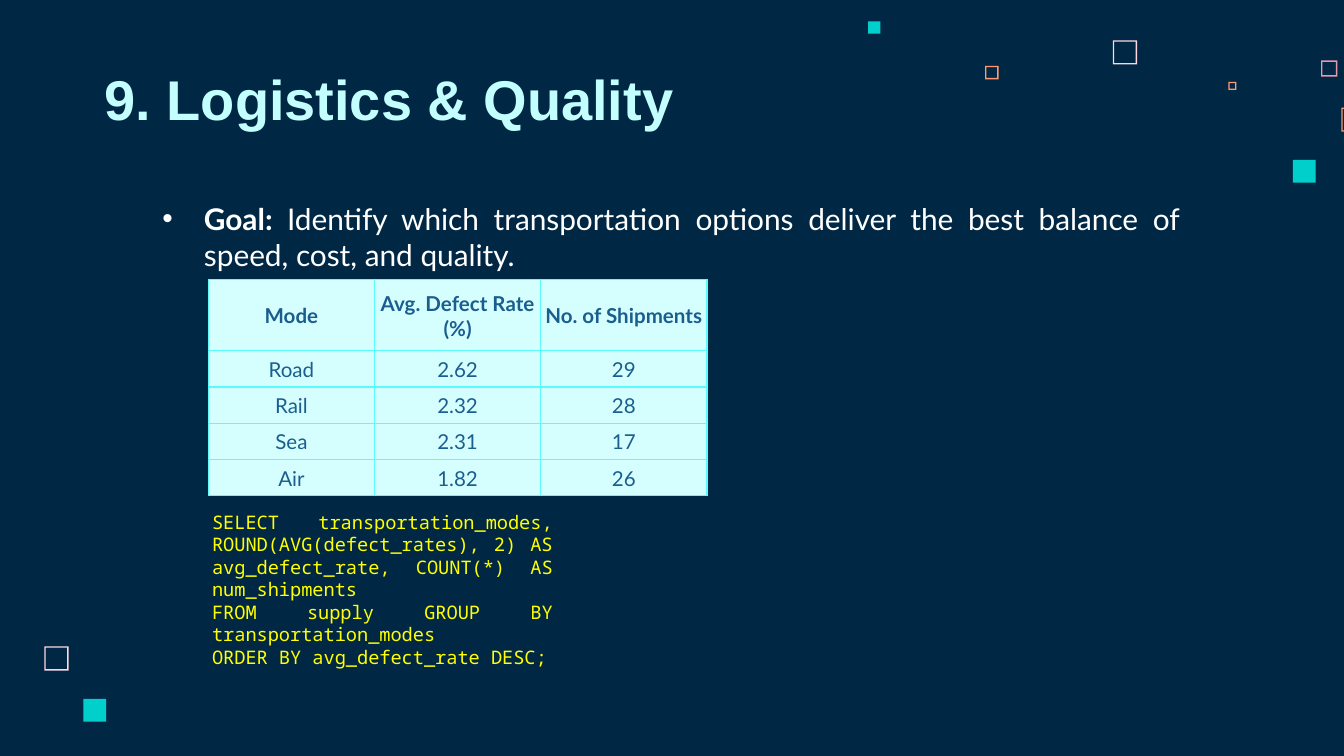
"""Build the Logistics & Quality slide with its table and SQL query."""
from lxml.etree import SubElement
from pptx import Presentation
from pptx.dml.color import RGBColor
from pptx.enum.shapes import MSO_SHAPE
from pptx.enum.text import MSO_ANCHOR, PP_ALIGN
from pptx.oxml.ns import qn
from pptx.util import Inches, Pt

COLORS = {
    "bg": "002845", "title": "C2FFFE", "white": "FFFFFF", "code": "FFFF00",
    "cell": "D5FFFE", "border": "58FDFB", "cell_text": "1A5E8F",
    "pink": "FFD6E1", "rose": "E898AC", "orange": "FF9973", "teal": "00CFCC",
}
FRAMES = [
    (8.28, 0.3, 0.18, "pink"), (9.83, 0.45, 0.12, "rose"),
    (9.14, 0.61, 0.06, "orange"), (9.98, 0.8, 0.18, "orange"),
    (7.33, 0.49, 0.1, "orange"), (0.33, 4.81, 0.18, "pink"),
]
SQUARES = [(9.62, 1.19, 0.17, "teal"), (6.46, 0.16, 0.09, "teal"), (0.62, 5.2, 0.17, "teal")]
TITLE = "9. Logistics & Quality"
GOAL = ("Goal: ", "Identify which transportation options deliver the best balance of speed, cost, and quality.")
ROWS = [
    ("Mode", "Avg. Defect Rate (%)", "No. of Shipments"),
    ("Road", "2.62", "29"),
    ("Rail", "2.32", "28"),
    ("Sea", "2.31", "17"),
    ("Air", "1.82", "26"),
]
QUERY = [
    "SELECT transportation_modes, ROUND(AVG(defect_rates), 2) AS avg_defect_rate, COUNT(*) AS num_shipments",
    "FROM supply GROUP BY transportation_modes",
    "ORDER BY avg_defect_rate DESC;",
]
TITLE_FONT = {"name": "Arial", "size": Pt(30), "bold": True}
GOAL_FONT = {"name": "Lato", "size": Pt(16)}
CELL_FONT = {"name": "Lato", "size": Pt(11)}
CODE_FONT = {"name": "Noto Sans Mono", "size": Pt(10)}


def set_attrs(obj, values):
    for key, value in values.items():
        setattr(obj, key, value)


def add_run(p, text, color, font):
    r = p.add_run()
    r.text = text
    set_attrs(r.font, font)
    r.font.color.rgb = RGBColor.from_string(COLORS[color])


def add_text(s, box, anchor, inset):
    tf = s.shapes.add_textbox(*map(Inches, box)).text_frame
    set_attrs(tf, {"word_wrap": True, "vertical_anchor": anchor,
                   "margin_top": Inches(inset), "margin_bottom": Inches(inset)})
    return tf


def add_square(s, x, y, size, color, preset):
    sp = s.shapes.add_shape(preset, *map(Inches, (x, y, size, size)))
    sp.shadow.inherit = False
    sp.fill.solid()
    sp.fill.fore_color.rgb = RGBColor.from_string(COLORS[color])
    sp.line.fill.background()
    if preset == MSO_SHAPE.FRAME:
        sp.adjustments[0] = 0.01 / size


def add_bullet(p, char, color, indent):
    pPr = p._p.get_or_add_pPr()
    pPr.set("marL", str(Inches(indent)))
    pPr.set("indent", str(-Inches(indent)))
    SubElement(SubElement(pPr, qn("a:buClr")), qn("a:srgbClr"), val=COLORS[color])
    SubElement(pPr, qn("a:buFont"), typeface="Arial")
    SubElement(pPr, qn("a:buChar"), char=char)


def format_cell(cell, text, bold):
    set_attrs(cell, {"vertical_anchor": MSO_ANCHOR.MIDDLE, "margin_left": Inches(0.01),
                     "margin_right": Inches(0.01), "margin_top": Inches(0.01), "margin_bottom": 0})
    p = cell.text_frame.paragraphs[0]
    p.alignment = PP_ALIGN.CENTER
    add_run(p, text, "cell_text", {**CELL_FONT, "bold": bold})
    tcPr = cell._tc.get_or_add_tcPr()
    for side in ("lnL", "lnR", "lnT", "lnB"):
        ln = SubElement(tcPr, qn(f"a:{side}"), w=str(Pt(0.75)))
        SubElement(SubElement(ln, qn("a:solidFill")), qn("a:srgbClr"), val=COLORS["border"])
    cell.fill.solid()
    cell.fill.fore_color.rgb = RGBColor.from_string(COLORS["cell"])


def add_grid(s):
    table = s.shapes.add_table(len(ROWS), len(ROWS[0]), *map(Inches, (1.55, 2.08, 3.71, 1.6))).table
    for i, row in enumerate(ROWS):
        table.rows[i].height = Inches(0.27 if i else 0.53)
        for j, text in enumerate(row):
            format_cell(table.cell(i, j), text, i == 0)


def main():
    prs = Presentation()
    prs.slide_width = Inches(10)
    prs.slide_height = prs.slide_width * 9 // 16
    s = prs.slides.add_slide(prs.slide_layouts[6])
    s.background.fill.solid()
    s.background.fill.fore_color.rgb = RGBColor.from_string(COLORS["bg"])

    for preset, items in ((MSO_SHAPE.FRAME, FRAMES), (MSO_SHAPE.RECTANGLE, SQUARES)):
        for item in items:
            add_square(s, *item, preset)

    tf = add_text(s, (0.68, 0.45, 6.51, 0.63), MSO_ANCHOR.BOTTOM, 0.1)
    add_run(tf.paragraphs[0], TITLE, "title", TITLE_FONT)

    tf = add_text(s, (1.11, 1.44, 7.77, 0.64), MSO_ANCHOR.MIDDLE, 0.05)
    p = tf.paragraphs[0]
    p.alignment = PP_ALIGN.JUSTIFY
    add_bullet(p, "•", "white", 0.31)
    for text, bold in zip(GOAL, (True, False)):
        add_run(p, text, "white", {**GOAL_FONT, "bold": bold})

    add_grid(s)

    tf = add_text(s, (1.48, 3.75, 2.73, 1.28), MSO_ANCHOR.TOP, 0.05)
    for i, text in enumerate(QUERY):
        p = tf.add_paragraph() if i else tf.paragraphs[0]
        set_attrs(p, {"alignment": PP_ALIGN.JUSTIFY, "line_spacing": Pt(12.05)})
        add_run(p, text, "code", CODE_FONT)

    prs.save("out.pptx")


if __name__ == "__main__":
    main()
